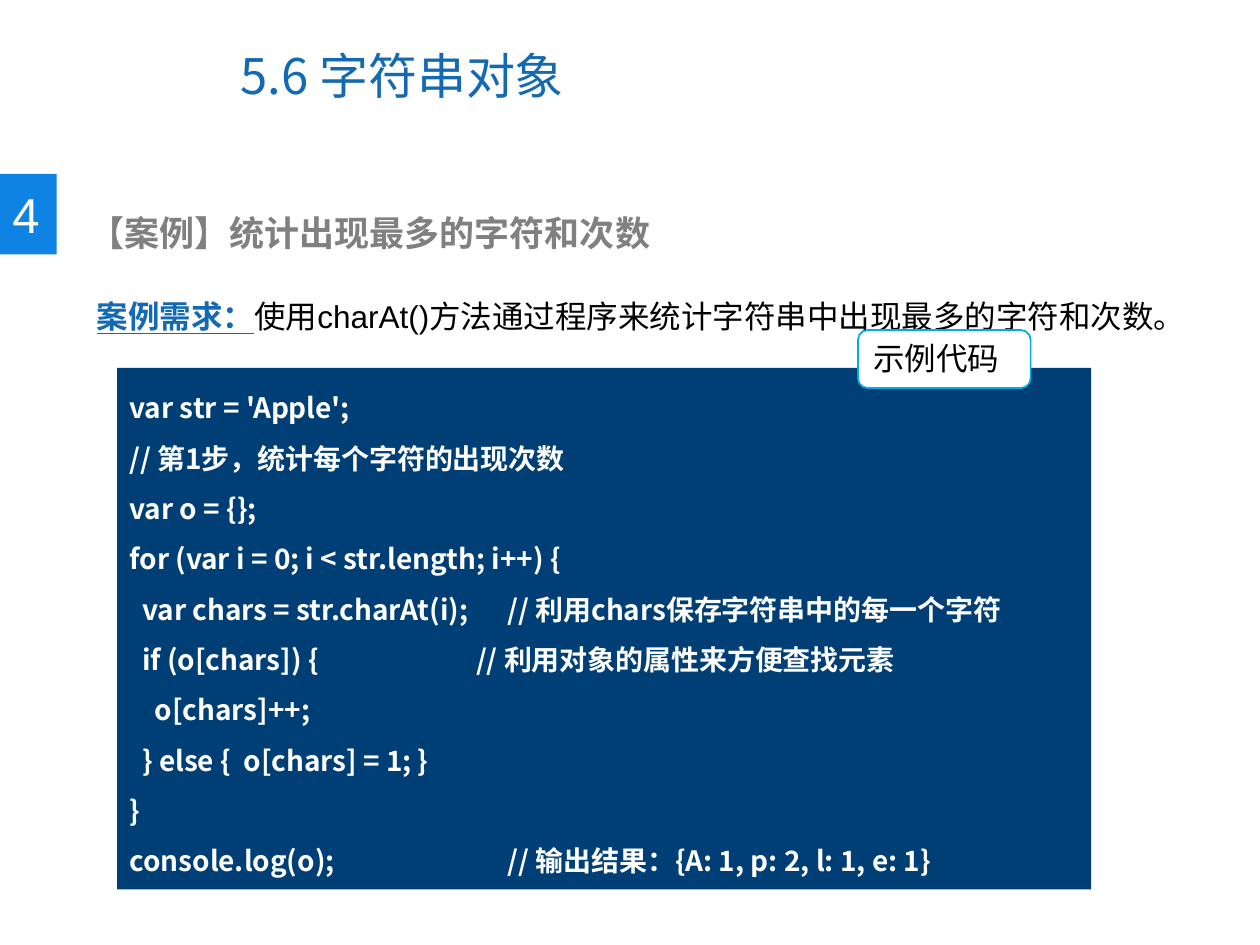
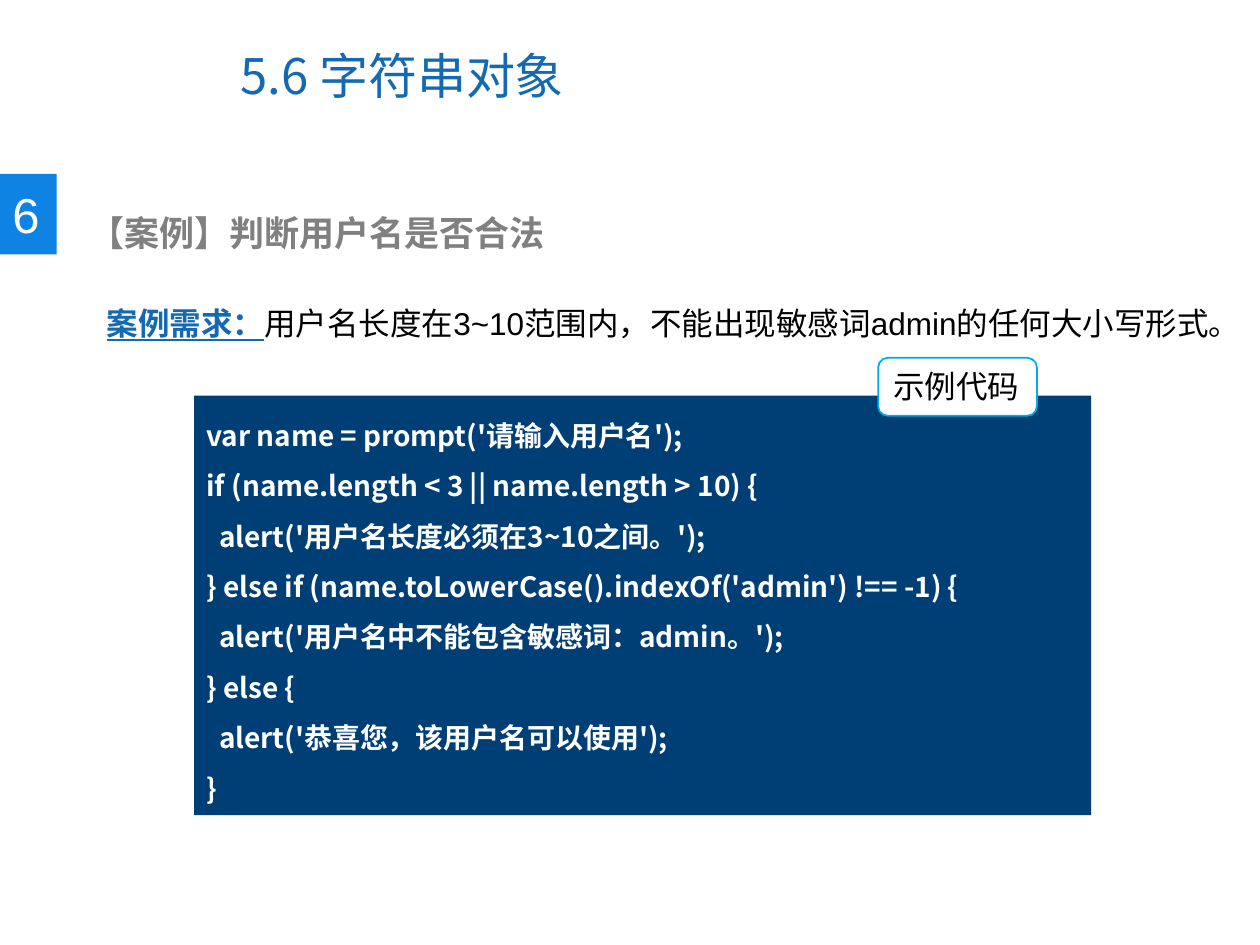
from pptx import Presentation
from pptx.dml.color import RGBColor
from pptx.enum.shapes import MSO_SHAPE
from pptx.enum.text import MSO_ANCHOR, PP_ALIGN
from pptx.oxml.ns import qn
from pptx.util import Inches, Pt
from lxml import etree

RECT, ROUNDED = MSO_SHAPE.RECTANGLE, MSO_SHAPE.ROUNDED_RECTANGLE
TOP, MIDDLE = MSO_ANCHOR.TOP, MSO_ANCHOR.MIDDLE
LEFT = PP_ALIGN.LEFT

BLUE = RGBColor(0x13, 0x69, 0xB2)
BADGE_BLUE = RGBColor(0x0F, 0x83, 0xE3)
NAVY = RGBColor(0x00, 0x3F, 0x75)
CYAN = RGBColor(0x00, 0xAC, 0xE6)
GRAY = RGBColor(0x80, 0x80, 0x80)
BLACK = RGBColor(0x00, 0x00, 0x00)
WHITE = RGBColor(0xFF, 0xFF, 0xFF)
ARIAL, CJK = "Arial", "Noto Sans CJK SC"

COLS, ROWS = 100, 75  # grid over the whole slide
CODE_RIGHT = 86.6  # column where every code panel ends
CODE_LINE, CODE_PAD = 4.05, 0.9  # rows per code line, spare rows


class Deck:
    """Lesson style plus the slide being built."""

    def __init__(self):
        self.prs = Presentation()
        self.prs.slide_width, self.prs.slide_height = Inches(10), Inches(7.5)
        self.s = None

    def new_slide(self, number, title):
        self.s = self.prs.slides.add_slide(self.prs.slide_layouts[6])
        tf = self.textbox(18.1, 1.7, 51.6, 8.5, MIDDLE)
        self.run(tf.paragraphs[0], title, 28, BLUE, CJK)
        tf = self.shape(RECT, 0, 13.8, 4.5, 6.4, BADGE_BLUE, anchor=MIDDLE)
        self.run(tf.paragraphs[0], number, 28, WHITE)

    def box(self, col, row, cols, rows):
        x, y = self.prs.slide_width / COLS, self.prs.slide_height / ROWS
        return [round(v) for v in (col * x, row * y, cols * x, rows * y)]

    def frame(self, sp, anchor):
        tf = sp.text_frame
        tf.word_wrap = True
        tf.vertical_anchor = anchor
        tf.paragraphs[0].alignment = LEFT
        return tf

    def textbox(self, col, row, cols, rows, anchor=TOP):
        sp = self.s.shapes.add_textbox(*self.box(col, row, cols, rows))
        return self.frame(sp, anchor)

    def shape(self, kind, col, row, cols, rows, fill, line=None, anchor=TOP):
        sp = self.s.shapes.add_shape(kind, *self.box(col, row, cols, rows))
        sp.shadow.inherit = False
        sp.fill.solid()
        sp.fill.fore_color.rgb = fill
        if line is None:
            sp.line.fill.background()
        else:
            sp.line.color.rgb = line
            sp.line.width = Pt(1)
        return self.frame(sp, anchor)

    def run(self, p, text, size, color, font=ARIAL, bold=False, underline=False):
        r = p.add_run()
        r.text = text
        r.font.size, r.font.bold, r.font.underline = Pt(size), bold, underline
        r.font.color.rgb = color
        r.font.name = font
        ea = etree.SubElement(r.font._element, qn("a:ea"))
        ea.set("typeface", CJK)

    def tab_stop(self, p, col):
        tabs = etree.SubElement(p._p.get_or_add_pPr(), qn("a:tabLst"))
        tab = etree.SubElement(tabs, qn("a:tab"))
        tab.set("pos", str(self.box(col, 0, 0, 0)[0]))
        tab.set("algn", "l")

    def heading(self, text):
        tf = self.textbox(6.1, 16.3, 50, 4.4)
        self.run(tf.paragraphs[0], text, 20, GRAY, bold=True)

    def requirement(self, col, row, cols, text):
        p = self.textbox(col, row, cols, 7.1).paragraphs[0]
        p.line_spacing = 2.0
        self.run(p, "案例需求：", 18, BLUE, bold=True, underline=True)
        self.run(p, text, 18, BLACK)

    def code(self, col, row, lines, label_col, label_cols):
        """Lines are (text, column of the tab stop or None)."""
        height = CODE_PAD + CODE_LINE * len(lines)
        tf = self.shape(RECT, col, row, CODE_RIGHT - col, height, NAVY)
        for i, (text, stop) in enumerate(lines):
            p = tf.add_paragraph() if i else tf.paragraphs[0]
            p.alignment = LEFT
            if stop:
                self.tab_stop(p, stop)
            p.line_spacing = 1.5
            self.run(p, text, 16, WHITE, CJK, bold=True)
        # Label over the panel's top edge
        tf = self.shape(ROUNDED, label_col, row - 3, label_cols, 4.6, WHITE, CYAN)
        self.run(tf.paragraphs[0], "示例代码", 18, BLACK)


COUNT_CODE = [
    ("var str = 'Apple';", None),
    ("// 第1步，统计每个字符的出现次数", None),
    ("var o = {};", None),
    ("for (var i = 0; i < str.length; i++) {", None),
    ("  var chars = str.charAt(i);\t// 利用chars保存字符串中的每一个字符", 30),
    ("  if (o[chars]) {\t// 利用对象的属性来方便查找元素", 27.5),
    ("    o[chars]++;", None),
    ("  } else {  o[chars] = 1; }", None),
    ("}", None),
    ("console.log(o);\t// 输出结果：{A: 1, p: 2, l: 1, e: 1}", 30),
]

NAME_CODE = [(line, None) for line in (
    "var name = prompt('请输入用户名');",
    "if (name.length < 3 || name.length > 10) {",
    "  alert('用户名长度必须在3~10之间。');",
    "} else if (name.toLowerCase().indexOf('admin') !== -1) {",
    "  alert('用户名中不能包含敏感词：admin。');",
    "} else {",
    "  alert('恭喜您，该用户名可以使用');",
    "}",
)]


def main():
    deck = Deck()
    title = "5.6 字符串对象"

    # Most frequent character
    deck.new_slide("4", title)
    deck.heading("【案例】统计出现最多的字符和次数")
    deck.requirement(6.7, 20.1, 89.8,
                     "使用charAt()方法通过程序来统计字符串中出现最多的字符和次数。")
    deck.code(9.3, 29.2, COUNT_CODE, 68.1, 13.7)

    # User name check
    deck.new_slide("6", title)
    deck.heading("【案例】判断用户名是否合法")
    deck.requirement(7.5, 20.6, 93.6,
                     "用户名长度在3~10范围内，不能出现敏感词admin的任何大小写形式。")
    deck.code(15.4, 31.4, NAME_CODE, 69.7, 12.6)

    deck.prs.save("out.pptx")


if __name__ == "__main__":
    main()
